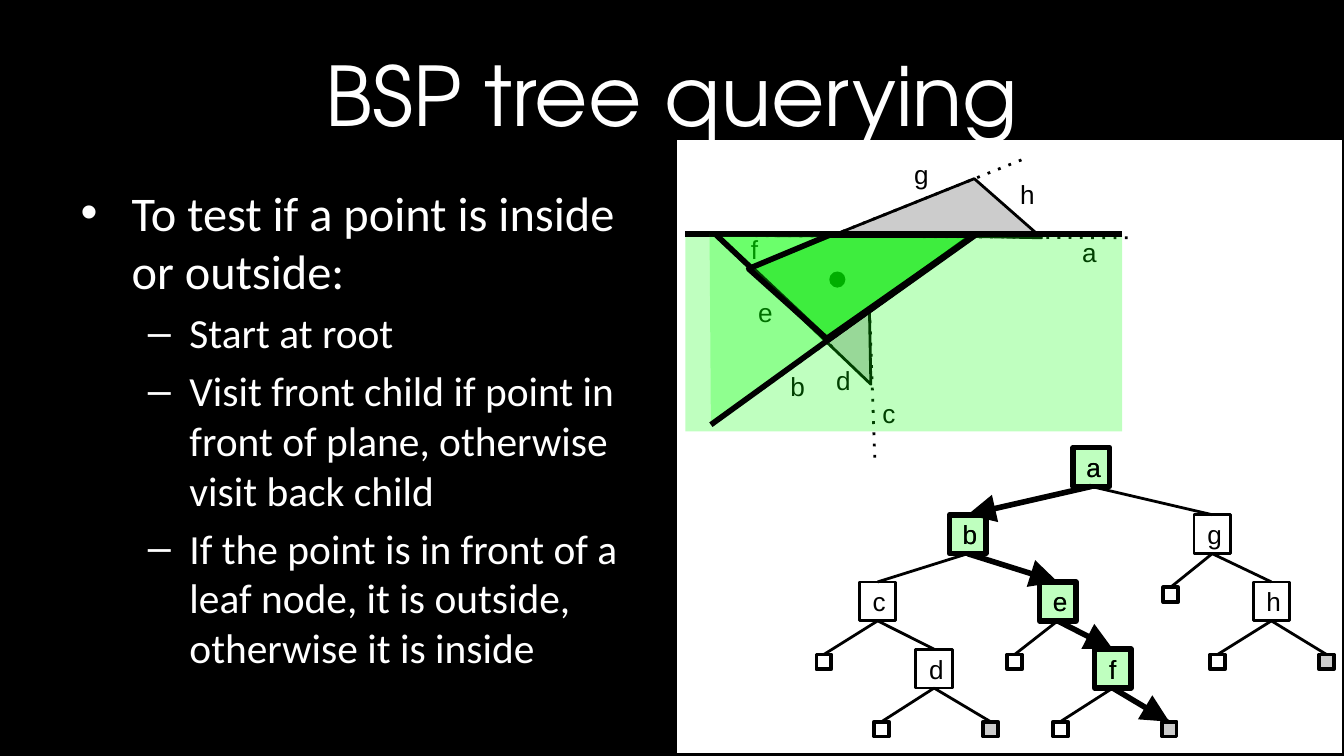
from dataclasses import dataclass

from pptx import Presentation
from pptx.dml.color import RGBColor
from pptx.enum.shapes import MSO_CONNECTOR, MSO_SHAPE
from pptx.enum.text import MSO_ANCHOR, MSO_AUTO_SIZE, PP_ALIGN
from pptx.oxml.ns import qn
from pptx.util import Inches, Pt


@dataclass(frozen=True)
class Theme:
    black: str = "000000"
    white: str = "FFFFFF"
    solid: str = "CCCCCC"
    region: str = "00FF00"
    title: tuple = ("TeX Gyre Adventor", 44)
    body: tuple = (("Calibri", 25.9), ("Calibri", 22.2))
    label: tuple = ("Arial", 14)
    thin: float = 1.5
    medium: float = 2
    thick: float = 3


def add_xml(parent, tag, **attributes):
    parent.append(parent.makeelement(qn(tag), attributes))


class SlideBuilder:
    def __init__(self, slide, theme):
        self.slide, self.shapes, self.theme = slide, slide.shapes, theme
        slide.background.fill.solid()
        slide.background.fill.fore_color.rgb = RGBColor.from_string(theme.black)

    def font(self, p, face, color):
        for r in p.runs:
            r.font.name, r.font.size = face[0], Pt(face[1])
            r.font.color.rgb = RGBColor.from_string(color)

    def placeholder(self, sp, text, box):
        sp.left, sp.top, sp.width, sp.height = map(Inches, box)
        sp.text_frame.text = text
        sp.text_frame.auto_size = MSO_AUTO_SIZE.NONE
        return sp.text_frame

    def title(self, text, box):
        tf = self.placeholder(self.shapes.title, text, box)
        tf.vertical_anchor = MSO_ANCHOR.MIDDLE
        tf.paragraphs[0].alignment = PP_ALIGN.CENTER
        self.font(tf.paragraphs[0], self.theme.title, self.theme.white)

    def bullets(self, items, box):
        """Fill the body placeholder from (level, text) pairs."""
        text = "\n".join(text for _, text in items)
        tf = self.placeholder(self.slide.placeholders[1], text, box)
        for p, (level, _) in zip(tf.paragraphs, items):
            p.level = level
            margin, hang, mark = ((0.38, 0.38, "•"), (0.81, 0.31, "–"))[level]
            pPr = p._p.get_or_add_pPr()
            pPr.set("marL", str(Inches(margin)))
            pPr.set("indent", str(-Inches(hang)))
            add_xml(pPr, "a:buChar", char=mark)
            self.font(p, self.theme.body[level], self.theme.white)
        tf.paragraphs[0].space_before = Pt(0)

    def style(self, sp, fill=None, alpha=None, width=None):
        sp.shadow.inherit = False
        if fill:
            sp.fill.solid()
            sp.fill.fore_color.rgb = RGBColor.from_string(fill)
        else:
            sp.fill.background()
        if alpha:
            add_xml(sp._element.spPr.find(qn("a:solidFill"))[0], "a:alpha", val=str(alpha * 1000))
        if width:
            sp.line.color.rgb = RGBColor.from_string(self.theme.black)
            sp.line.width = Pt(width)
        else:
            sp.line.fill.background()

    def shape(self, box, kind=MSO_SHAPE.RECTANGLE, **style):
        sp = self.shapes.add_shape(kind, *map(Inches, box))
        self.style(sp, **style)
        return sp

    def panel(self, box, **style):
        """Draw a rectangle behind everything, placeholders included."""
        sp = self.shape(box, **style)
        self.shapes._spTree.insert(2, sp._element)

    def polygon(self, points, close=True, **style):
        pts = [(Inches(x), Inches(y)) for x, y in points]
        builder = self.shapes.build_freeform(*pts[0])
        builder.add_line_segments(pts[1:], close=close)
        self.style(builder.convert_to_shape(), **style)

    def line(self, start, end, width, dotted=False, arrow=False):
        ln = self.shapes.add_connector(MSO_CONNECTOR.STRAIGHT, *map(Inches, start + end))
        ln.line.color.rgb = RGBColor.from_string(self.theme.black)
        ln.line.width = Pt(width)
        spPr = ln._element.spPr
        if dotted:
            add_xml(spPr.find(qn("a:ln")), "a:prstDash", val="dot")
        if arrow:
            add_xml(spPr.find(qn("a:ln")), "a:tailEnd", type="triangle", w="lg", len="lg")
        add_xml(spPr, "a:effectLst")

    def letter(self, sp, text):
        tf = sp.text_frame
        tf.text, tf.word_wrap, tf.vertical_anchor = text, True, MSO_ANCHOR.MIDDLE
        tf.margin_left = tf.margin_right = tf.margin_top = tf.margin_bottom = Inches(0.1)
        tf.paragraphs[0].alignment = PP_ALIGN.CENTER
        self.font(tf.paragraphs[0], self.theme.label, self.theme.black)

    def label(self, text, x, y):
        self.letter(self.shapes.add_textbox(*map(Inches, (x, y, 0.43, 0.29))), text)

    def node(self, name, **style):
        x, y = node_top(name)
        self.letter(self.shape((x - NODE_W / 2, y, NODE_W, NODE_H), **style), name)


NODE_W, NODE_H, LEAF = 0.27, 0.29, 0.11
TREE_TOP, LEVEL_STEP, LEAF_DROP = 3.33, 0.5, 0.04
BULLETS = [
    (0, "To test if a point is inside or outside:"),
    (1, "Start at root"),
    (1, "Visit front child if point in front of plane, otherwise visit back child"),
    (1, "If the point is in front of a leaf node, it is outside, otherwise it is inside"),
]
POLYGON = [(6.48, 2.86), (6.47, 2.32), (7.25, 1.76), (7.75, 1.77), (7.25, 1.33), (5.58, 2)]
PLANES = [
    ((8.39, 1.77), (5.12, 1.75)), ((7.25, 1.76), (5.65, 2.91)), ((6.47, 2.3), (6.51, 3.44)),
    ((5.33, 1.76), (6.19, 2.58)), ((7.6, 1.19), (6.1, 1.79)),
]
EDGE_LABELS = {
    "b": (5.72, 2.73), "a": (7.89, 1.73), "c": (6.4, 2.93), "d": (6.06, 2.68),
    "e": (5.48, 2.18), "f": (5.4, 1.71), "g": (6.64, 1.15), "h": (7.43, 1.3),
}
REGIONS = [  # points, closed
    ([(5.28, 1.74), (7.24, 1.75), (5.29, 3.16)], False),
    ([(5.32, 1.74), (7.27, 1.74), (6.16, 2.53)], True),
    ([(6.17, 1.75), (7.25, 1.75), (6.15, 2.52), (5.57, 2)], True),
]
NODES = {  # centre x, level
    "a": (8.12, 0), "b": (7.2, 1), "e": (7.87, 2), "f": (8.28, 3),
    "c": (6.53, 2), "d": (6.95, 3), "g": (9.02, 1), "h": (9.46, 2),
}
BRANCHES = ["ab", "ag", "bc", "be", "cd", "ef", "gh"]
LEAVES = [  # parent, centre x, inside the polygon
    ("c", 6.13, False), ("e", 7.55, False), ("g", 8.71, False),
    ("d", 6.56, False), ("d", 7.37, True), ("f", 7.89, False),
    ("f", 8.7, True), ("h", 9.06, False), ("h", 9.87, True),
]
QUERY_PATH = "abef"


def node_top(name):
    x, level = NODES[name]
    return x, TREE_TOP + level * LEVEL_STEP


def node_bottom(name):
    x, y = node_top(name)
    return x, y + NODE_H


def leaf_top(parent, x):
    return x, node_top(parent)[1] + LEVEL_STEP + LEAF_DROP


def main():
    prs = Presentation()
    prs.slide_width, prs.slide_height = Inches(10), Inches(10) * 9 // 16
    t = Theme()
    s = SlideBuilder(prs.slides.add_slide(prs.slide_layouts[1]), t)
    s.panel((5.02, 1.03, 4.98, 4.59), fill=t.white, width=t.medium)
    s.title("BSP tree querying", (0.5, 0.23, 9, 0.94))
    s.bullets(BULLETS, (0.5, 1.31, 4.5, 3.71))
    s.polygon(POLYGON, fill=t.solid, width=t.thin)
    for start, end in PLANES:
        s.line(start, end, t.thin, dotted=True)
    for name, (x, y) in EDGE_LABELS.items():
        s.label(name, x, y)
    s.shape((6.17, 2.02, 0.12, 0.12), MSO_SHAPE.OVAL, fill=t.black)
    for name in NODES:
        s.node(name, width=t.thin)
    for parent, child in BRANCHES:
        s.line(node_bottom(parent), node_top(child), t.thin)
    for parent, x, inside in LEAVES:
        x, y = leaf_top(parent, x)
        s.line(node_bottom(parent), (x, y), t.thin)
        s.shape((x - LEAF / 2, y, LEAF, LEAF), fill=t.solid if inside else t.white, width=t.medium)
    green = {"fill": t.region, "alpha": 25}
    s.shape((5.1, 1.74, 3.25, 1.47), **green)
    s.line((5.1, 1.74), (8.35, 1.74), t.thick)
    for points, closed in REGIONS:
        s.polygon(points, close=closed, width=t.thick, **green)
    ends = [node_top(name) for name in QUERY_PATH[1:]] + [leaf_top("f", 8.7)]
    for name, end in zip(QUERY_PATH, ends):
        s.line(node_bottom(name), end, t.thick, arrow=True)
        s.node(name, width=t.thick, **green)
    prs.save("out.pptx")


if __name__ == "__main__":
    main()
